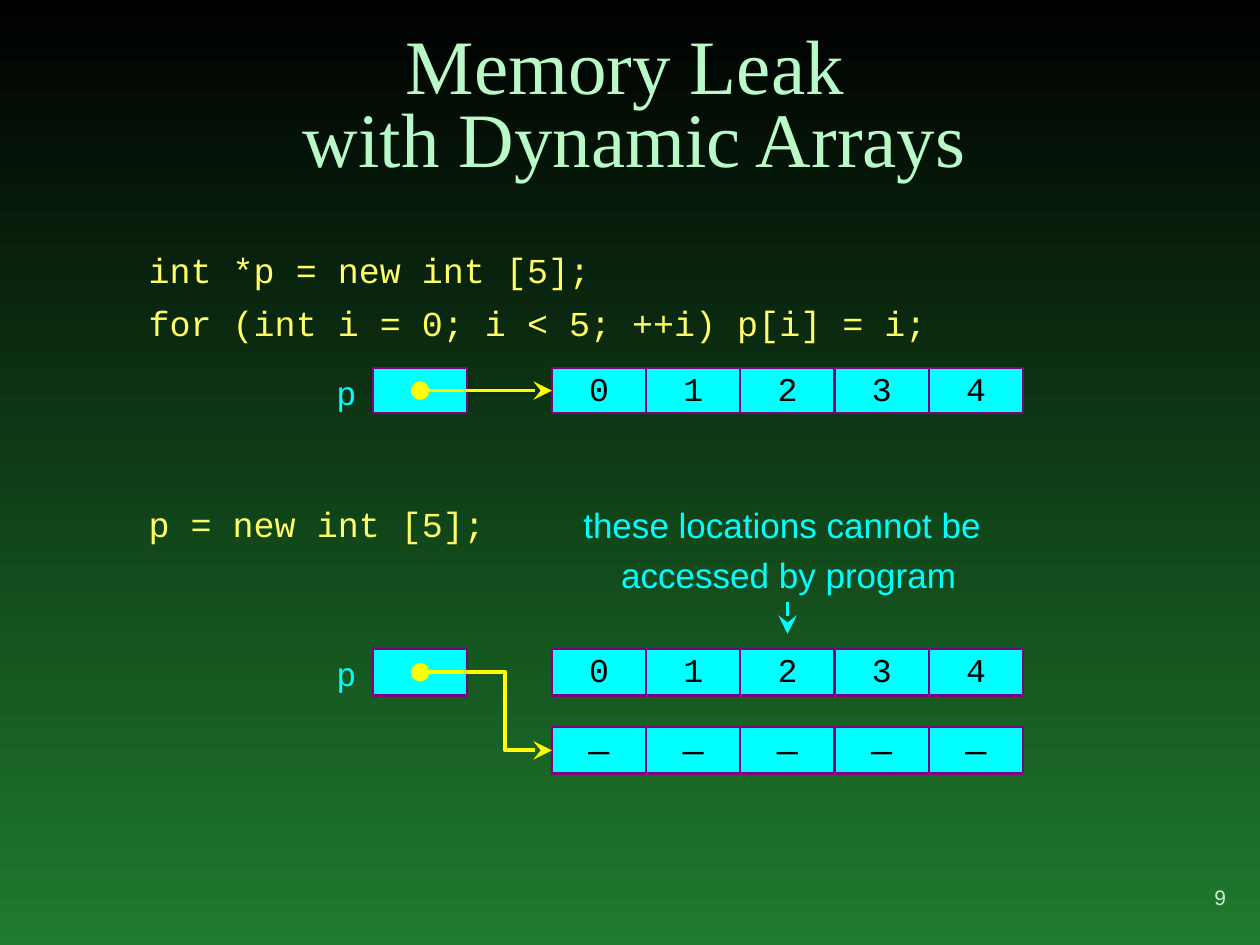
from dataclasses import dataclass
from typing import NamedTuple, Optional

from lxml.etree import SubElement
from pptx import Presentation
from pptx.dml.color import RGBColor as Color
from pptx.enum.shapes import MSO_CONNECTOR as Connector, MSO_SHAPE as Shape
from pptx.enum.text import MSO_ANCHOR as Anchor, PP_ALIGN as Align
from pptx.oxml.ns import qn
from pptx.util import Inches, Pt

# Grid: 100 columns by 75 rows of square units
WIDTH = Inches(10)
HEIGHT = Inches(7.5)
UNIT = WIDTH / 100


@dataclass(frozen=True)
class Theme:
    top: Color = Color.from_string("000000")
    bottom: Color = Color.from_string("1F7B2E")
    title: Color = Color.from_string("B9F9C8")
    code: Color = Color.from_string("FFFF66")
    cell: Color = Color.from_string("00FFFF")
    border: Color = Color.from_string("800080")
    value: Color = Color.from_string("000000")
    pointer: Color = Color.from_string("FFFF00")
    number: Color = Color.from_string("C6F1CD")
    serif: str = "Times New Roman"
    sans: str = "Arial"
    mono: str = "Courier New"
    title_size: float = 44
    text_size: float = 20
    value_size: float = 19
    number_size: float = 12
    border_width: float = 1.25
    arrow_width: float = 2.13


THEME = Theme()


class Box(NamedTuple):
    column: float
    row: float
    columns: float
    rows: float


class Style(NamedTuple):
    font: str
    size: float
    color: Color
    align: Align = Align.LEFT


class ArrayRow(NamedTuple):
    row: float
    height: float
    values: str
    size: float


TITLE = Style(THEME.serif, THEME.title_size, THEME.title, Align.CENTER)
CODE = Style(THEME.mono, THEME.text_size, THEME.code)
LABEL = Style(THEME.mono, THEME.value_size, THEME.cell)
NOTE = Style(THEME.sans, THEME.text_size, THEME.cell)
NUMBER = Style(THEME.sans, THEME.number_size, THEME.number, Align.RIGHT)

CELL_WIDTH = 7.48
POINTER_COLUMN = 29.6
ARRAY_COLUMN = 43.8
BEND_COLUMN = 40.1

FIRST = ArrayRow(29.2, 3.6, "01234", THEME.value_size)
LOST = ArrayRow(51.5, 3.7, "01234", THEME.value_size)
FRESH = ArrayRow(57.7, 3.7, "—————", THEME.text_size)


def units(*values: float) -> list[int]:
    return [round(value * UNIT) for value in values]


def write(shape, lines: list[str], style: Style, anchor: Anchor = Anchor.TOP,
          gap: float = 0, spacing: Optional[float] = None) -> None:
    frame = shape.text_frame
    frame.word_wrap = True
    frame.vertical_anchor = anchor
    frame.margin_left = frame.margin_right = 0
    frame.margin_top = frame.margin_bottom = 0
    for index, line in enumerate(lines):
        paragraph = frame.add_paragraph() if index else frame.paragraphs[0]
        paragraph.text = line
        paragraph.alignment = style.align
        paragraph.space_before = Pt(gap if index else 0)
        if spacing:
            paragraph.line_spacing = spacing
        paragraph.font.name = style.font
        paragraph.font.size = Pt(style.size)
        paragraph.font.color.rgb = style.color


def add_text(slide, box: Box, lines: list[str], style: Style, **options) -> None:
    write(slide.shapes.add_textbox(*units(*box)), lines, style, **options)


def add_cell(slide, column: float, array: ArrayRow, value: str = "") -> None:
    shape = slide.shapes.add_shape(
        Shape.RECTANGLE, *units(column, array.row, CELL_WIDTH, array.height))
    shape.shadow.inherit = False
    shape.fill.solid()
    shape.fill.fore_color.rgb = THEME.cell
    shape.line.color.rgb = THEME.border
    shape.line.width = Pt(THEME.border_width)
    if value:
        write(shape, [value],
              Style(THEME.mono, array.size, THEME.value, Align.CENTER))


def add_array(slide, array: ArrayRow) -> None:
    for index, value in enumerate(array.values):
        add_cell(slide, ARRAY_COLUMN + index * CELL_WIDTH, array, value)


def add_arrow(slide, start: tuple[float, float], end: tuple[float, float],
              color: Color, dot: bool = False,
              bend: Optional[float] = None) -> None:
    kind = Connector.ELBOW if bend else Connector.STRAIGHT
    connector = slide.shapes.add_connector(kind, *units(*start, *end))
    connector.line.color.rgb = color
    connector.line.width = Pt(THEME.arrow_width)
    properties = connector._element.spPr
    if bend:
        share = round((bend - start[0]) / (end[0] - start[0]) * 100000)
        adjustments = properties.find(qn("a:prstGeom")).get_or_add_avLst()
        SubElement(adjustments, qn("a:gd"), name="adj1", fmla=f"val {share}")
    line = connector.line._get_or_add_ln()
    if dot:
        SubElement(line, qn("a:headEnd"), type="oval", w="lg", len="lg")
    SubElement(line, qn("a:tailEnd"), type="stealth", w="lg", len="lg")
    SubElement(properties, qn("a:effectLst"))


def add_pointer(slide, owner: ArrayRow, target: ArrayRow) -> None:
    add_text(slide, Box(26.7, owner.row + 0.35, 1.8, 3.2), ["p"], LABEL)
    add_cell(slide, POINTER_COLUMN, owner)
    start = (POINTER_COLUMN + CELL_WIDTH / 2, owner.row + owner.height / 2)
    end = (ARRAY_COLUMN, target.row + target.height / 2)
    add_arrow(slide, start, end, THEME.pointer, dot=True,
              bend=None if owner == target else BEND_COLUMN)


def main() -> None:
    presentation = Presentation()
    presentation.slide_width, presentation.slide_height = WIDTH, HEIGHT
    slide = presentation.slides.add_slide(presentation.slide_layouts[6])

    # Background, dark at the top
    fill = slide.background.fill
    fill.gradient()
    fill.gradient_angle = 270
    for stop, position, color in zip(
            fill.gradient_stops, (0, 1), (THEME.top, THEME.bottom)):
        stop.position = position
        stop.color.rgb = color

    # Title and code
    add_text(slide, Box(7.7, 3, 83.8, 11.5),
             ["Memory Leak\v with Dynamic Arrays"], TITLE,
             anchor=Anchor.BOTTOM, spacing=0.8)
    add_text(slide, Box(11.8, 19.7, 75, 7.5),
             ["int *p = new int [5];", "for (int i = 0; i < 5; ++i) p[i] = i;"],
             CODE, gap=6.5)
    add_text(slide, Box(11.8, 39.9, 30, 3.5), ["p = new int [5];"], CODE)

    # First allocation
    add_array(slide, FIRST)
    add_pointer(slide, FIRST, FIRST)

    # Second allocation, with the first array lost
    add_array(slide, LOST)
    add_array(slide, FRESH)
    add_pointer(slide, LOST, FRESH)
    add_text(slide, Box(46.3, 40, 33, 3.3), ["these locations cannot be"], NOTE)
    add_text(slide, Box(49.3, 43.9, 28, 3.3), ["accessed by program"], NOTE)
    add_arrow(slide, (62.5, 47.8), (62.5, 50.3), THEME.cell)

    # Slide number
    add_text(slide, Box(86, 68.3, 11.3, 5.8), ["9"], NUMBER, anchor=Anchor.MIDDLE)

    presentation.save("out.pptx")


if __name__ == "__main__":
    main()
